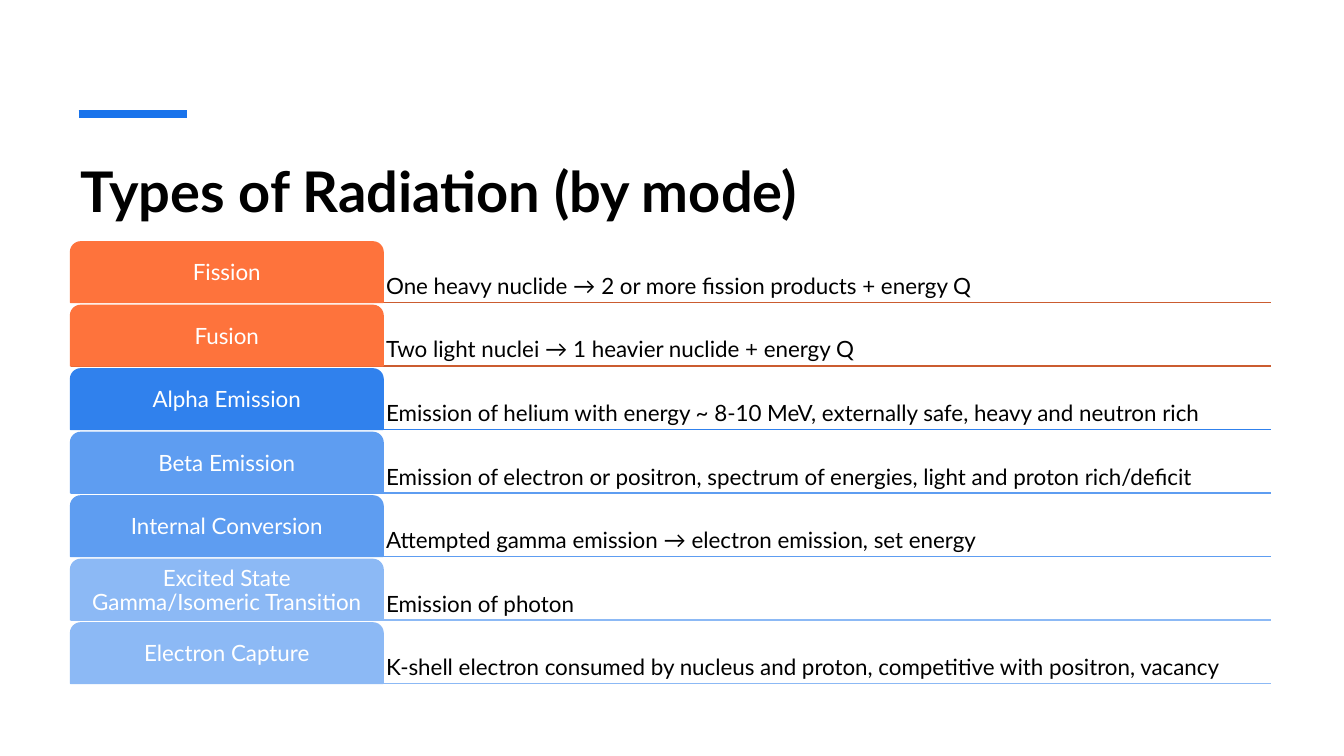
import pptx
import pptx.util
import pptx.dml.color
import pptx.enum.shapes
import pptx.enum.text
import pptx.oxml.ns
import lxml.etree

Inches = pptx.util.Inches
Pt = pptx.util.Pt
PP_ALIGN = pptx.enum.text.PP_ALIGN
MSO_ANCHOR = pptx.enum.text.MSO_ANCHOR


def rgb(color):
    return pptx.dml.color.RGBColor.from_string(color)


def add_line(x1, x2, y, color, width):
    ln = slide.shapes.add_connector(
        pptx.enum.shapes.MSO_CONNECTOR.STRAIGHT,
        Inches(x1), Inches(y), Inches(x2), Inches(y))
    ln.line.color.rgb = rgb(color)
    ln.line.width = Pt(width)
    lxml.etree.SubElement(ln._element.spPr, pptx.oxml.ns.qn("a:effectLst"))


prs = pptx.Presentation()
prs.slide_width = Inches(13.33)
prs.slide_height = Inches(7.5)
slide = prs.slides.add_slide(prs.slide_layouts[5])

# Accent bar and title
add_line(0.78, 1.85, 1.13, "1973EB", 6)
title = slide.shapes.title
title.left, title.top = Inches(0.7), Inches(1.5)
title.width, title.height = Inches(11.91), Inches(1.2)
tf = title.text_frame
tf.text = "Types of Radiation (by mode)"
tf.vertical_anchor = MSO_ANCHOR.TOP
p = tf.paragraphs[0]
p.alignment = PP_ALIGN.LEFT
font = p.runs[0].font
font.name, font.size, font.bold = "Lato", Pt(40), True
font.color.rgb = rgb("000000")

# Mode, description, tab colour, rule colour
modes = [
    ("Fission", "One heavy nuclide → 2 or more fission products + energy Q",
     "FE733C", "CB5C30"),
    ("Fusion", "Two light nuclei → 1 heavier nuclide + energy Q",
     "FE733C", "CB5C30"),
    ("Alpha Emission",
     "Emission of helium with energy ~ 8-10 MeV, externally safe, heavy and neutron rich",
     "3081ED", "3081ED"),
    ("Beta Emission",
     "Emission of electron or positron, spectrum of energies, light and proton rich/deficit",
     "5E9DF1", "5E9DF1"),
    ("Internal Conversion",
     "Attempted gamma emission → electron emission, set energy",
     "5E9DF1", "5E9DF1"),
    ("Excited State Gamma/Isomeric Transition", "Emission of photon",
     "8CB9F5", "8CB9F5"),
    ("Electron Capture",
     "K-shell electron consumed by nucleus and proton, competitive with positron, vacancy",
     "8CB9F5", "CB5C30"),
]
left, tab_width, right = 0.7, 3.1, 12.61
top, pitch, height = 2.4, 0.63, 0.6

# Rows: rule, description and tab
for i, (mode, description, tab_color, rule_color) in enumerate(modes):
    y = top + i * pitch
    add_line(left, right, y + height, rule_color, 1)

    tb = slide.shapes.add_textbox(
        Inches(left + tab_width), Inches(y),
        Inches(right - left - tab_width), Inches(height))

    tab = slide.shapes.add_shape(
        pptx.enum.shapes.MSO_SHAPE.ROUND_2_SAME_RECTANGLE,
        Inches(left), Inches(y), Inches(tab_width), Inches(height))
    tab.shadow.inherit = False
    tab.adjustments[0] = 0.167
    tab.fill.solid()
    tab.fill.fore_color.rgb = rgb(tab_color)
    tab.line.color.rgb = rgb(tab_color)
    tab.line.width = Pt(1)

    for sp, text, color, align, anchor in (
            (tb, description, "000000", PP_ALIGN.LEFT, MSO_ANCHOR.BOTTOM),
            (tab, mode, "FFFFFF", PP_ALIGN.CENTER, MSO_ANCHOR.MIDDLE)):
        tf = sp.text_frame
        tf.text = text
        tf.word_wrap = True
        tf.vertical_anchor = anchor
        tf.margin_left = tf.margin_right = Inches(0.03)
        tf.margin_top = tf.margin_bottom = Inches(0.03)
        p = tf.paragraphs[0]
        p.alignment = align
        p.line_spacing = 0.9
        font = p.runs[0].font
        font.name, font.size = "Lato", Pt(16)
        font.color.rgb = rgb(color)

# Closing rule over the last row
add_line(left, right, top + (len(modes) - 1) * pitch + height, "8CB9F5", 1)

prs.save("out.pptx")
